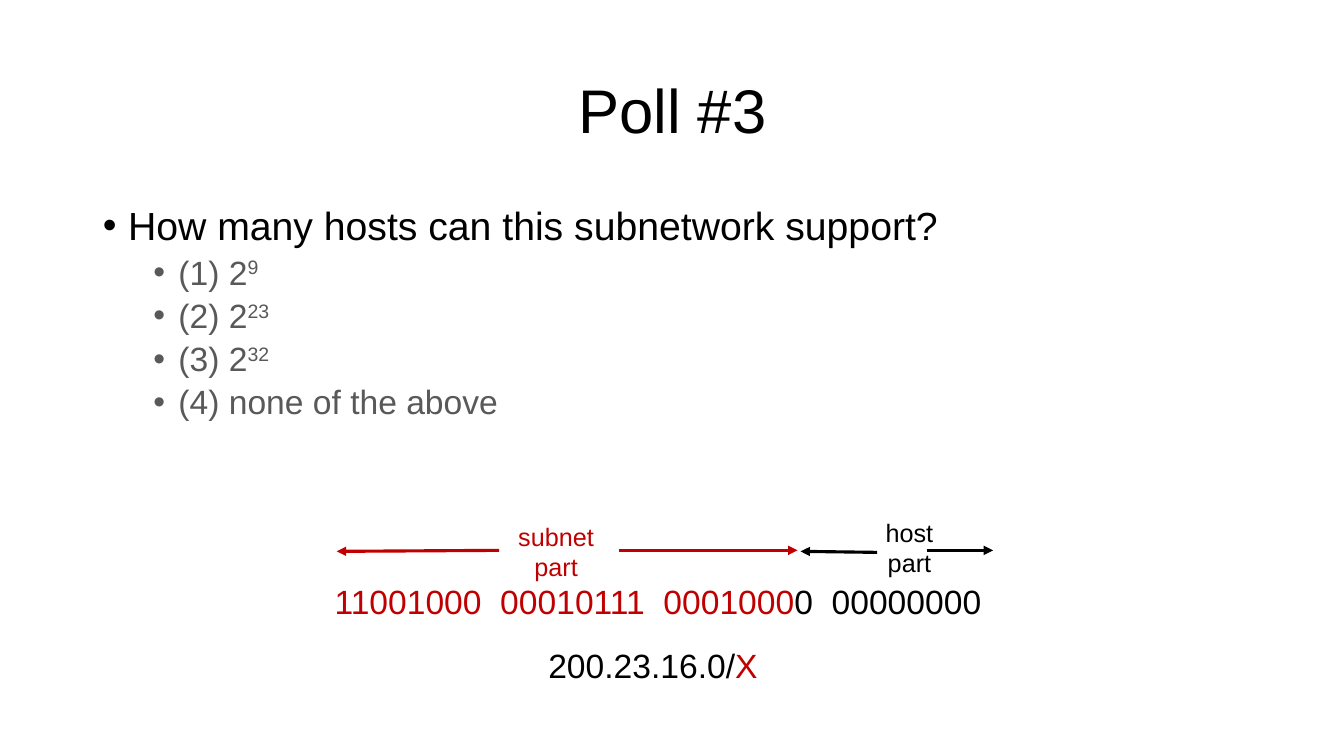
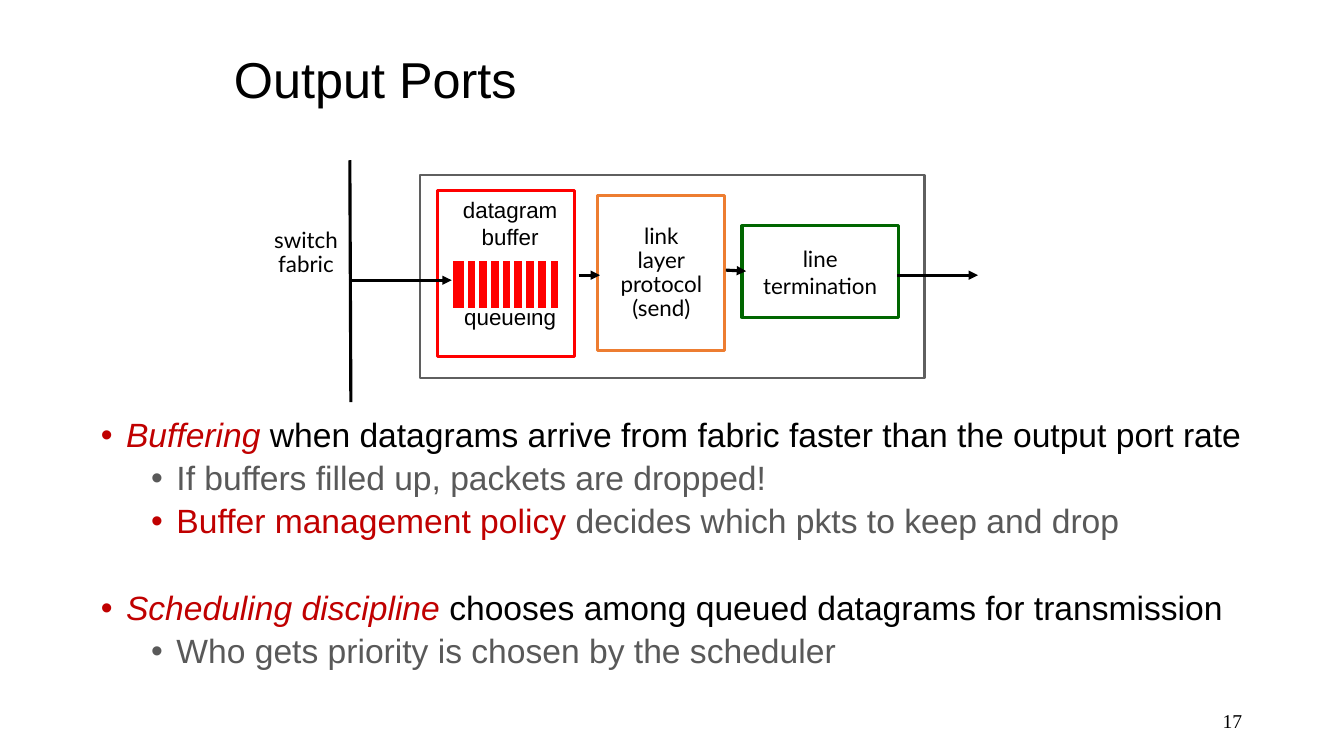
from dataclasses import dataclass

from lxml.etree import SubElement
from pptx import Presentation
from pptx.dml.color import RGBColor
from pptx.enum.shapes import MSO_CONNECTOR, MSO_SHAPE
from pptx.enum.text import MSO_ANCHOR, MSO_AUTO_SIZE, PP_ALIGN
from pptx.oxml.ns import qn
from pptx.util import Pt

PX = 9144


@dataclass(frozen=True)
class Theme:
    black: RGBColor = RGBColor(0, 0, 0)
    white: RGBColor = RGBColor(255, 255, 255)
    muted: RGBColor = RGBColor(0x59, 0x59, 0x59)
    frame: RGBColor = RGBColor(0x5F, 0x5F, 0x5F)
    accent: RGBColor = RGBColor(0xC0, 0, 0)
    red: RGBColor = RGBColor(0xFF, 0, 0)
    orange: RGBColor = RGBColor(0xED, 0x7D, 0x31)
    green: RGBColor = RGBColor(0, 0x66, 0)
    sans: str = "Arial"
    diagram: str = "Lato"
    serif: str = "Times New Roman"
    title_size: int = 44
    small_title_size: int = 36
    question_size: int = 28
    body_size: int = 24
    caption_size: int = 18
    block_size: int = 16
    number_size: int = 14


theme = Theme()


def add_box(slide, box, runs, size, font=theme.sans, align=PP_ALIGN.CENTER,
            anchor=MSO_ANCHOR.TOP, fill=None, outline=None, weight=2.25, spacing=1.0):
    place = [value * PX for value in box]
    if fill is None:
        shape = slide.shapes.add_textbox(*place)
    else:
        shape = slide.shapes.add_shape(MSO_SHAPE.RECTANGLE, *place)
        shape.shadow.inherit = False
        shape.fill.solid()
        shape.fill.fore_color.rgb = fill
        shape.line.color.rgb = outline
        shape.line.width = Pt(weight)
    frame = shape.text_frame
    frame.word_wrap = False
    frame.vertical_anchor = anchor
    frame.text = runs[0][0]
    for text, color in runs[1:]:
        frame.paragraphs[-1].add_run().text = text
    for paragraph in frame.paragraphs:
        paragraph.alignment = align
        paragraph.line_spacing = spacing
        for index, run in enumerate(paragraph.runs):
            run.font.name = font
            run.font.size = Pt(size)
            run.font.color.rgb = runs[index][1]
    return shape


def add_line(slide, start, end, color=theme.black, weight=2.25, arrow=True):
    points = [value * PX for value in (*start, *end)]
    connector = slide.shapes.add_connector(MSO_CONNECTOR.STRAIGHT, *points)
    connector.line.color.rgb = color
    connector.line.width = Pt(weight)
    properties = connector._element.spPr
    if arrow:
        SubElement(properties.find(qn("a:ln")), qn("a:tailEnd"), type="triangle")
    SubElement(properties, qn("a:effectLst"))


styles = {
    "plain": (theme.black, False),
    "muted": (theme.muted, False),
    "power": (theme.muted, False),
    "accent": (theme.accent, False),
    "term": (theme.accent, True),
}

pages = [
    {
        "title": "Poll #3",
        "title_box": (92, 40, 1150, 145),
        "title_size": theme.title_size,
        "title_align": PP_ALIGN.CENTER,
        "body_box": (92, 200, 1150, 476),
        "top_size": theme.question_size,
        "items": [
            (0, 0, [("How many hosts can this subnetwork support?", "plain")]),
            (1, 5, [("(1) 2", "muted"), ("9", "power")]),
            (1, 5, [("(2) 2", "muted"), ("23", "power")]),
            (1, 5, [("(3) 2", "muted"), ("32", "power")]),
            (1, 5, [("(4) none of the above", "muted")]),
        ],
    },
    {
        "title": "Output Ports",
        "title_box": (222, 44, 850, 75),
        "title_size": theme.small_title_size,
        "title_align": PP_ALIGN.LEFT,
        "body_box": (90, 410, 1153, 326),
        "top_size": theme.body_size,
        "items": [
            (0, 0, [("Buffering", "term"),
                    (" when datagrams arrive from fabric faster than the output port rate", "plain")]),
            (1, 5, [("If buffers filled up, packets are dropped!", "muted")]),
            (1, 5, [("Buffer management policy", "accent"),
                    (" decides which pkts to keep and drop", "muted")]),
            (0, 36, [("Scheduling discipline ", "term"),
                     ("chooses among queued datagrams for transmission", "plain")]),
            (1, 5, [("Who gets priority is chosen by the scheduler", "muted")]),
        ],
    },
]

presentation = Presentation()
presentation.slide_width = 1333 * PX
presentation.slide_height = 750 * PX
layout = presentation.slide_layouts[1]

for page in pages:
    slide = presentation.slides.add_slide(layout)
    title, body = slide.shapes.title, slide.placeholders[1]
    for placeholder, box in ((title, page["title_box"]), (body, page["body_box"])):
        placeholder.left, placeholder.top, placeholder.width, placeholder.height = (
            value * PX for value in box)
        placeholder.text_frame.auto_size = MSO_AUTO_SIZE.NONE

    title.text_frame.text = page["title"]
    title.text_frame.vertical_anchor = MSO_ANCHOR.MIDDLE
    heading = title.text_frame.paragraphs[0]
    heading.alignment = page["title_align"]
    heading.line_spacing = 0.9
    heading.runs[0].font.name = theme.sans
    heading.runs[0].font.size = Pt(page["title_size"])
    heading.runs[0].font.color.rgb = theme.black

    body.text_frame.text = "\n".join(runs[0][0] for level, before, runs in page["items"])
    for paragraph, (level, before, runs) in zip(body.text_frame.paragraphs, page["items"]):
        paragraph.level = level
        paragraph.line_spacing = 0.9
        paragraph.space_before = Pt(before)
        properties = paragraph._p.get_or_add_pPr()
        properties.set("marL", str((25 + 50 * level) * PX))
        properties.set("indent", str(-25 * PX))
        SubElement(properties, qn("a:buChar"), char="•")
        for text, style in runs[1:]:
            paragraph.add_run().text = text
        for run, (text, style) in zip(paragraph.runs, runs):
            run.font.name = theme.sans
            run.font.size = Pt(theme.body_size if level else page["top_size"])
            run.font.color.rgb, run.font.italic = styles[style]
            if style == "power":
                run._r.get_or_add_rPr().set("baseline", "30000")

poll, ports = presentation.slides

add_box(poll, (322, 571, 669, 50),
        [("11001000  00010111  0001000", theme.accent), ("0  00000000", theme.black)],
        theme.body_size, align=PP_ALIGN.LEFT)
add_box(poll, (534, 635, 230, 51),
        [("200.23.16.0/", theme.black), ("X", theme.accent)],
        theme.body_size, align=PP_ALIGN.LEFT)
add_box(poll, (502, 512, 99, 70), [("subnet\npart", theme.accent)], theme.caption_size)
add_box(poll, (868, 508, 68, 71), [("host\npart", theme.black)], theme.caption_size)
for start, end, color in [
    ((614, 546), (791, 546), theme.accent),
    ((495, 546), (334, 547), theme.accent),
    ((870, 548), (794, 547), theme.black),
    ((919, 546), (985, 546), theme.black),
]:
    add_line(poll, start, end, color)

page_number = add_box(ports, (942, 695, 300, 40), [("17", theme.black)], theme.number_size,
                      theme.serif, PP_ALIGN.RIGHT, MSO_ANCHOR.MIDDLE)
page_number.text_frame.word_wrap = True

for box, text, outline, weight, spacing in [
    ((417, 174, 500, 201), "", theme.frame, 1.5, 1.0),
    ((736, 224, 155, 91), "line\ntermination", theme.green, 2.25, 1.0),
    ((593, 194, 126, 154), "link\nlayer\nprotocol\n(send)", theme.orange, 2.25, 0.9),
    ((434, 189, 136, 165), "", theme.red, 2.25, 1.0),
]:
    add_box(ports, box, [(text, theme.black)], theme.block_size, theme.diagram,
            anchor=MSO_ANCHOR.MIDDLE, fill=theme.white, outline=outline,
            weight=weight, spacing=spacing)
add_box(ports, (246, 206, 115, 91), [("switch\nfabric", theme.black)], theme.block_size,
        theme.diagram, anchor=MSO_ANCHOR.MIDDLE, spacing=0.9)

queue_label = add_box(ports, (443, 190, 126, 160),
                      [("datagram\nbuffer\nqueueing", theme.black)], theme.block_size)
queue_label.text_frame.paragraphs[2].space_before = Pt(38)
add_box(ports, (447, 257, 109, 51), [("", theme.black)], theme.block_size,
        fill=theme.red, outline=theme.white, weight=3)
for index in range(8):
    x = 462 + index * 82 // 7
    add_line(ports, (x, 258), (x, 307), theme.white, 3, arrow=False)

add_line(ports, (347, 159), (348, 399), arrow=False)
for start, end in [
    ((346, 278), (448, 278)),
    ((574, 273), (595, 273)),
    ((720, 268), (740, 269)),
    ((890, 273), (970, 273)),
]:
    add_line(ports, start, end)

presentation.save("out.pptx")
